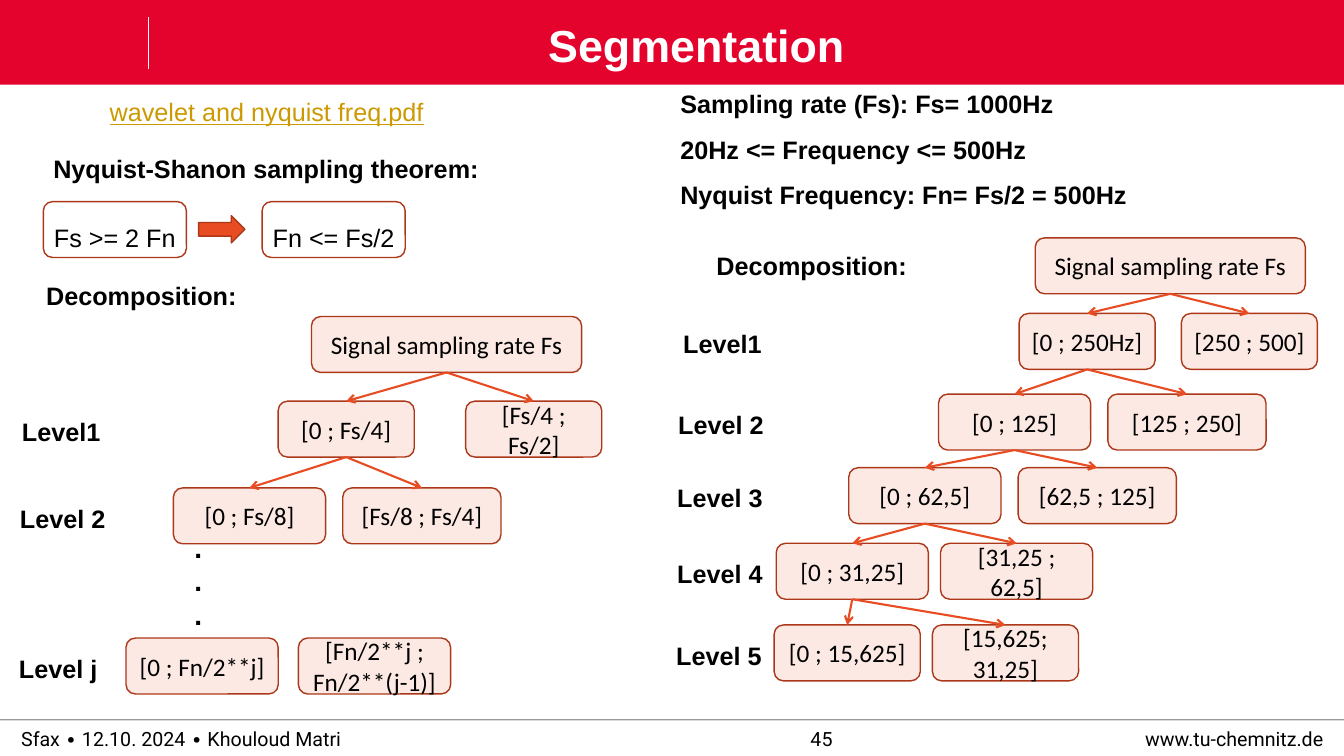
from lxml.etree import SubElement
from pptx import Presentation
from pptx.dml.color import RGBColor
from pptx.enum.shapes import MSO_CONNECTOR, MSO_SHAPE
from pptx.enum.text import MSO_ANCHOR, MSO_AUTO_SIZE, PP_ALIGN
from pptx.oxml.ns import qn
from pptx.util import Inches, Pt

RED = RGBColor(0xE4, 0x03, 0x2D)
ORANGE = RGBColor(0xE8, 0x4C, 0x22)
RUST = RGBColor(0xAC, 0x38, 0x19)
BLUSH = RGBColor(0xFC, 0xE9, 0xE4)
GOLD = RGBColor(0xCC, 0x99, 0x00)
BLACK = RGBColor(0, 0, 0)
WHITE = RGBColor(255, 255, 255)
COLS, ROWS = 133.33, 75
TALL = 5.55


class Deck:
    """Draw styled parts on one slide, measured in grid columns and rows."""

    def __init__(self):
        self.prs = Presentation()
        self.prs.slide_width = Inches(13.33)
        self.prs.slide_height = Inches(7.5)
        self.col = self.prs.slide_width / COLS
        self.row = self.prs.slide_height / ROWS
        self.slide = self.prs.slides.add_slide(self.prs.slide_layouts[5])
        self.shapes = self.slide.shapes

    def area(self, x, y, w, h):
        return (round(x * self.col), round(y * self.row),
                round(w * self.col), round(h * self.row))

    def style(self, frame, text, size=18, font="Arial", color=BLACK, bold=False,
              line=False, align=PP_ALIGN.LEFT, space=None, inset=None):
        frame.text = text
        if inset is not None:
            frame.margin_left = frame.margin_right = Inches(inset)
            frame.margin_top = frame.margin_bottom = Inches(inset)
        for para in frame.paragraphs:
            para.alignment = align
            if space:
                para.line_spacing = space
            for run in para.runs:
                run.font.size, run.font.name = Pt(size), font
                run.font.bold, run.font.underline = bold, line
                run.font.color.rgb = color

    def title(self, text, *place):
        head = self.shapes.title
        head.left, head.top, head.width, head.height = self.area(*place)
        frame = head.text_frame
        frame.auto_size = MSO_AUTO_SIZE.NONE
        frame.vertical_anchor = MSO_ANCHOR.TOP
        self.style(frame, text, 32, color=WHITE, bold=True,
                   align=PP_ALIGN.CENTER, space=0.9, inset=0)
        self.shapes._spTree.append(head._element)

    def label(self, text, *place, **style):
        frame = self.shapes.add_textbox(*self.area(*place)).text_frame
        frame.word_wrap = False
        self.style(frame, text, **style)
        return frame

    def footer(self, text, x, w, align):
        frame = self.label(text, x, 71.4, w, 3.7, size=14, font="Roboto",
                           align=align, inset=0)
        frame.word_wrap = True
        frame.vertical_anchor = MSO_ANCHOR.MIDDLE

    def shape(self, kind, *place, fill=None, edge=RUST):
        item = self.shapes.add_shape(kind, *self.area(*place))
        item.shadow.inherit = False
        if fill is None:
            item.fill.background()
        else:
            item.fill.solid()
            item.fill.fore_color.rgb = fill
        if edge is None:
            item.line.fill.background()
        else:
            item.line.color.rgb = edge
            item.line.width = Pt(1)
        return item

    def box(self, text, x, y, w, fill=BLUSH, font="Calibri", **style):
        item = self.shape(MSO_SHAPE.ROUNDED_RECTANGLE, x, y, w, TALL, fill=fill)
        item.text_frame.vertical_anchor = MSO_ANCHOR.MIDDLE
        self.style(item.text_frame, text, font=font, align=PP_ALIGN.CENTER, **style)
        return item

    def line(self, x, y, right, low, color, width, alpha=None):
        ends = self.area(x, y, right, low)
        item = self.shapes.add_connector(MSO_CONNECTOR.STRAIGHT, *ends)
        item.line.color.rgb = color
        item.line.width = Pt(width)
        props = item._element.spPr
        if alpha:
            tone = props.find(".//" + qn("a:srgbClr"))
            SubElement(tone, qn("a:alpha")).set("val", str(alpha * 1000))
        SubElement(props, qn("a:effectLst"))
        return item

    def arrow(self, start, end):
        item = self.line(0, 0, 1, 1, ORANGE, 1.5)
        item.begin_connect(start, 2)
        item.end_connect(end, 0)
        stroke = item._element.spPr.find(qn("a:ln"))
        SubElement(stroke, qn("a:tailEnd")).set("type", "arrow")

    def tree(self, x, y, levels):
        top = self.box("Signal sampling rate Fs", x, y, 26.8)
        for name, side, high, *pair in levels:
            self.label(name, side, high + 1, 10.6 if " " in name else 9.9, 4, bold=True)
            kids = [self.box(text, left, high, wide) for text, left, wide in pair]
            if name != "Level j":
                for kid in kids:
                    self.arrow(top, kid)
            top = kids[0]


LEFT = [
    ("Level1", 1.2, 39.8, ("[0 ; Fs/4]", 27.6, 13.5), ("[Fs/4 ; Fs/2]", 46.2, 13.5)),
    ("Level 2", 1, 48.4, ("[0 ; Fs/8]", 17.2, 15.1), ("[Fs/8 ; Fs/4]", 34, 15.7)),
    ("Level j", 0.9, 63.3, ("[0 ; Fn/2**j]", 12.5, 15.1),
     ("[Fn/2**j ;\nFn/2**(j-1)]", 29.6, 15.1)),
]
RIGHT = [
    ("Level1", 66.8, 31.1, ("[0 ; 250Hz]", 101.1, 13.5), ("[250 ; 500]", 117.2, 13.5)),
    ("Level 2", 66.3, 39.1, ("[0 ; 125]", 93.1, 15.1), ("[125 ; 250]", 109.9, 15.7)),
    ("Level 3", 66.2, 46.4, ("[0 ; 62,5]", 84.2, 15.1), ("[62,5 ; 125]", 101, 15.7)),
    ("Level 4", 66.2, 53.9, ("[0 ; 31,25]", 77, 15.1), ("[31,25 ;\n62,5]", 93.3, 15.1)),
    ("Level 5", 66.1, 62, ("[0 ; 15,625]", 76.8, 14.5), ("[15,625;\n31,25]", 92.5, 14.5)),
]


def main():
    deck = Deck()
    deck.shape(MSO_SHAPE.RECTANGLE, 0, 0, COLS, 8.4, fill=RED, edge=None)
    deck.line(14.7, 1.7, 14.7, 6.8, WHITE, 0.5)
    deck.line(0, 71.4, COLS, 71.4, BLACK, 1, alpha=40)
    deck.footer("Sfax ∙ 12.10. 2024 ∙ Khouloud Matri", 2.1, 63, PP_ALIGN.LEFT)
    deck.footer("45", 50.9, 61.2, PP_ALIGN.CENTER)
    deck.footer("www.tu-chemnitz.de", 90.3, 41, PP_ALIGN.RIGHT)
    deck.title("Segmentation", 12, 2.4, 114.2, 5.1)

    deck.label("wavelet and nyquist freq.pdf", 9.9, 9.1, 33.4, 4, color=GOLD, line=True)
    deck.label("Nyquist-Shanon sampling theorem:", 4.3, 14.7, 44.7, 4, bold=True)
    for text, x in (("Fs >= 2 Fn", 4.3), ("Fn <= Fs/2", 26)):
        deck.box(text, x, 20, 14.2, fill=None, font="Arial", space=1.5, inset=0.03)
    deck.shape(MSO_SHAPE.RIGHT_ARROW, 19.7, 21.4, 4.6, 2.7, fill=ORANGE)
    deck.label("Decomposition:", 3.6, 27.3, 21.1, 4, bold=True)
    deck.tree(30.9, 31.4, LEFT)
    deck.label(".\n.\n.", 18.3, 52.1, 2.8, 11.1, size=20, bold=True)

    facts = deck.label("Sampling rate (Fs): Fs= 1000Hz\n20Hz <= Frequency <= 500Hz\n"
                       "Nyquist Frequency: Fn= Fs/2 = 500Hz",
                       66.5, 8.3, 46.8, 13.1, bold=True, space=1.5)
    facts.paragraphs[0].line_spacing = 1.0
    deck.label("Decomposition:", 70.1, 24.3, 21.1, 4, bold=True)
    deck.tree(102.7, 23.6, RIGHT)
    deck.prs.save("out.pptx")


if __name__ == "__main__":
    main()
